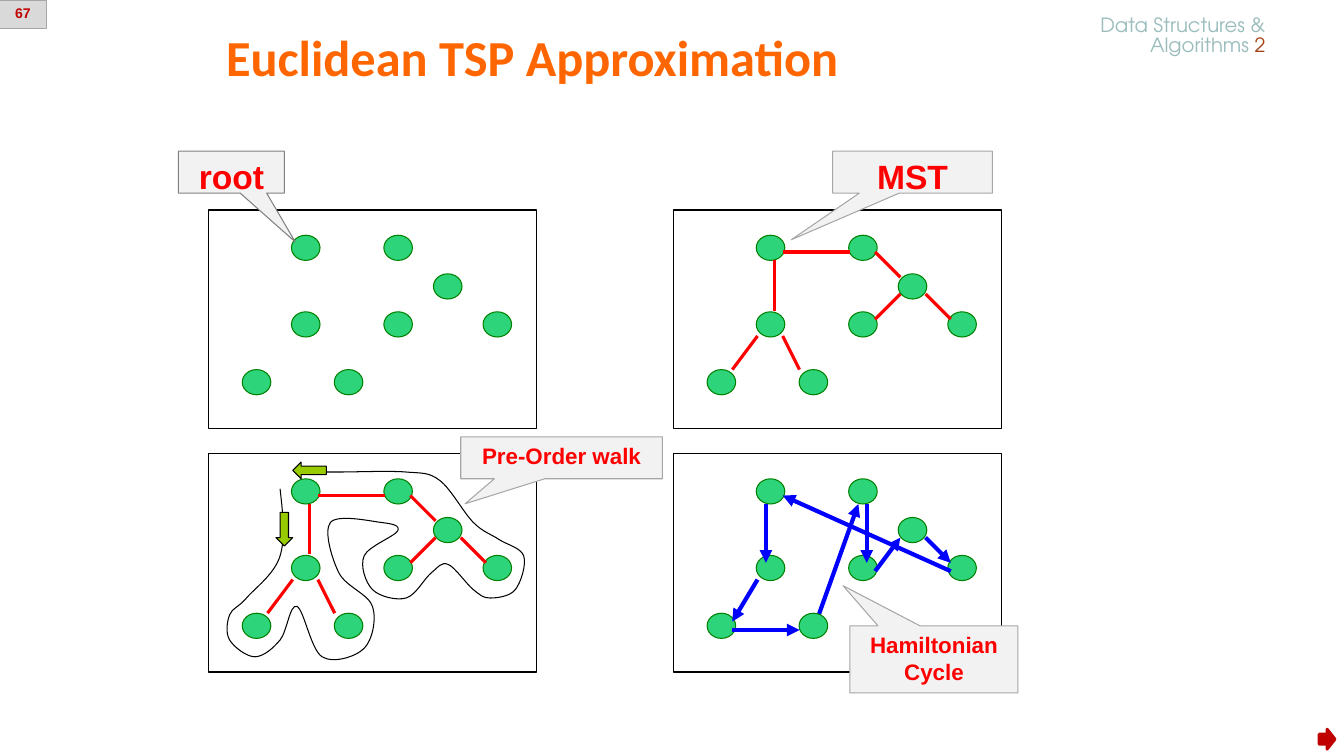
from dataclasses import dataclass
from itertools import product

from lxml import etree
from pptx import Presentation
from pptx.dml.color import RGBColor
from pptx.enum.shapes import MSO_CONNECTOR, MSO_SHAPE
from pptx.enum.text import MSO_ANCHOR, PP_ALIGN
from pptx.oxml.ns import qn
from pptx.util import Emu, Inches, Pt

STRAIGHT = MSO_CONNECTOR.STRAIGHT
NODE, FRAME = MSO_SHAPE.FLOWCHART_CONNECTOR, MSO_SHAPE.FLOWCHART_PROCESS
CALLOUT, RECTANGLE = MSO_SHAPE.RECTANGULAR_CALLOUT, MSO_SHAPE.RECTANGLE
LEFT_ARROW, DOWN_ARROW = MSO_SHAPE.LEFT_ARROW, MSO_SHAPE.DOWN_ARROW
RIGHT_ARROW = MSO_SHAPE.RIGHT_ARROW
LEFT, CENTER, RIGHT = PP_ALIGN.LEFT, PP_ALIGN.CENTER, PP_ALIGN.RIGHT
TOP, BOTTOM = MSO_ANCHOR.TOP, MSO_ANCHOR.BOTTOM

CELL = Inches(1) // 12  # the slide is a grid of 160 columns by 90 rows
PANEL_COLUMNS, PANEL_ROWS = (24.84, 80.16), (25, 54)
PANEL_SIZE = (39, 26)
NODE_SIZE = (3.4, 3)

BLACK, RED, BLUE, DARK_RED = "000000", "FF0000", "0000FF", "C00000"
ORANGE, GREEN, DARK_GREEN, LIME = "FF6600", "2ED479", "008000", "99CC00"
PALE_GRAY, LIGHT_GRAY, MID_GRAY, GRAY = "F2F2F2", "D9D9D9", "A6A6A6", "808080"
TEAL, BROWN = "9ABCBC", "A44114"

Point = tuple[float, float]
Run = tuple[str, str]  # text, colour


@dataclass(frozen=True)
class Box:
    column: float
    row: float
    width: float
    height: float

    def within(self, origin: Point) -> "Box":
        return Box(self.column + origin[0], self.row + origin[1], self.width, self.height)

    def lengths(self) -> list[Emu]:
        return [cells(n) for n in (self.column, self.row, self.width, self.height)]


@dataclass(frozen=True)
class Callout:
    text: str
    box: Box
    tip: Point
    size: int
    line: str = MID_GRAY


@dataclass(frozen=True)
class Edge:
    start: Point
    end: Point
    behind_nodes: bool = False


NODES = [(9.85, 3), (20.85, 3), (4, 19), (26.75, 7.6),
         (9.85, 12.12), (20.85, 12.12), (14.95, 19), (32.65, 12.12)]
TREE = [Edge((12, 12), (12, 6)), Edge((7, 19), (10, 15)), Edge((15, 19), (13, 15)),
        Edge((21, 5), (13, 5)), Edge((27, 8), (24, 5)), Edge((24, 13), (27, 10)),
        Edge((33, 13), (30, 10))]
CYCLE = [Edge((17, 20), (22, 6), True), Edge((11, 6), (11, 13)), Edge((10, 15), (7, 20)),
         Edge((7, 21), (15, 21)), Edge((23, 6), (23, 13)), Edge((24, 14), (27, 10)),
         Edge((30, 10), (33, 13)), Edge((33, 14), (13, 5))]
WALK_BOX = Box(2, 2, 36, 23)
WALK_OFFSET = (-1.5, -1.8)  # from the walk's anchors to its box
WALK = [(8, 4), (8, 12), (4, 17), (2, 19), (2, 22), (5, 24), (8, 22), (10, 18),
        (13, 24), (18, 23), (19, 18), (15, 14), (14, 8), (20, 8), (22, 9),
        (18, 12), (19, 16), (23, 17), (26, 14), (28, 13), (31, 16), (33, 17),
        (36, 16), (37, 12), (34, 10), (31, 8), (27, 3), (23, 2), (15, 2), (11, 2)]
CALLOUTS = [
    Callout("root", Box(-3.6, -7, 12.6, 5), (0.603, 1.661), 24, GRAY),
    Callout("MST", Box(18.95, -7, 19, 5), (-0.76, 1.611), 24),
    Callout("Pre-Order walk", Box(30, -2, 24, 5), (-0.478, 1.096), 16),
    Callout("Hamiltonian Cycle", Box(21, 20.5, 20, 8), (-0.541, -1.097), 16),
]
PANEL_EDGES = [([], RED), (TREE, RED), (TREE, RED), (CYCLE, BLUE)]
WALK_PANEL = 2


def cells(count: float) -> Emu:
    return Emu(round(count * CELL))


def color(value: str) -> RGBColor:
    return RGBColor.from_string(value)


def shift(point: Point, origin: Point) -> Point:
    return point[0] + origin[0], point[1] + origin[1]


def write(shape, *lines: list[Run], size: float, font: str = "Arial", bold: bool = False,
          align=CENTER, anchor=TOP, spacing=None):
    """Fill a shape with one paragraph for each list of coloured runs."""
    frame = shape.text_frame
    frame.word_wrap, frame.vertical_anchor = True, anchor
    frame.margin_top = frame.margin_bottom = Inches(0.05)
    for index, runs in enumerate(lines):
        paragraph = frame.add_paragraph() if index else frame.paragraphs[0]
        paragraph.alignment, paragraph.line_spacing = align, spacing
        paragraph.space_before = Pt(0)
        for text, text_color in runs:
            run = paragraph.add_run()
            run.text = text
            run.font.name, run.font.size, run.font.bold = font, Pt(size), bold
            run.font.color.rgb = color(text_color)


def style(shape, fill: str | None, line: str, weight: float = 0.75):
    shape.shadow.inherit = False
    if fill:
        shape.fill.solid()
        shape.fill.fore_color.rgb = color(fill)
    else:
        shape.fill.background()
    shape.line.color.rgb, shape.line.width = color(line), Pt(weight)


def add_block(shapes, kind, box: Box, fill: str | None, line: str, weight: float = 0.75):
    shape = shapes.add_shape(kind, *box.lengths())
    style(shape, fill, line, weight)
    return shape


def add_edge(shapes, edge: Edge, origin: Point, line: str, arrow: bool):
    ends = [cells(n) for point in (edge.start, edge.end) for n in shift(point, origin)]
    connector = shapes.add_connector(STRAIGHT, *ends)
    connector.line.color.rgb, connector.line.width = color(line), Pt(3 if arrow else 2.25)
    if arrow:
        etree.SubElement(connector.line._get_or_add_ln(), qn("a:tailEnd"), type="triangle")
    etree.SubElement(connector._element.spPr, qn("a:effectLst"))


def curve_segments(anchors: list[Point]) -> list[tuple[Point, Point, Point]]:
    """Give the Bezier points of a Catmull-Rom curve with extrapolated ends."""
    def beyond(a: Point, b: Point, c: Point) -> Point:
        return tuple(2.5 * p - 2 * q + 0.5 * r for p, q, r in zip(a, b, c))

    def control(near: Point, ahead: Point, behind: Point) -> Point:
        return tuple(p + (q - r) / 6 for p, q, r in zip(near, ahead, behind))

    points = [beyond(*anchors[:3]), *anchors, beyond(*anchors[:-4:-1])]
    return [(control(b, c, a), control(c, b, d), c)
            for a, b, c, d in zip(points, points[1:], points[2:], points[3:])]


def add_walk(shapes, origin: Point):
    anchors = [shift(point, WALK_OFFSET) for point in WALK]
    builder = shapes.build_freeform(*map(cells, anchors[0]))
    builder.add_line_segments([tuple(map(cells, point)) for point in anchors[1:]], close=False)
    walk = builder.convert_to_shape()
    walk.left, walk.top, walk.width, walk.height = WALK_BOX.within(origin).lengths()
    outline = next(walk._element.iter(qn("a:path")))
    outline.set("w", str(walk.width))
    outline.set("h", str(walk.height))
    for command in list(outline):
        outline.remove(command)
    commands = [("a:moveTo", anchors[:1])]
    commands += [("a:cubicBezTo", segment) for segment in curve_segments(anchors)]
    for name, points in commands:
        command = etree.SubElement(outline, qn(name))
        for x, y in points:
            etree.SubElement(command, qn("a:pt"), x=str(cells(x)), y=str(cells(y)))
    style(walk, None, BLACK)
    for kind, box in ((LEFT_ARROW, Box(10, 1, 4, 2)), (DOWN_ARROW, Box(8, 7, 2, 4))):
        add_block(shapes, kind, box.within(origin), LIME, BLACK)


def add_panel(slide, index: int, origin: Point):
    shapes = slide.shapes.add_group_shape().shapes
    edges, line = PANEL_EDGES[index]

    def add_edges(behind_nodes: bool):
        for edge in edges:
            if edge.behind_nodes == behind_nodes:
                add_edge(shapes, edge, origin, line, arrow=edges is CYCLE)

    add_edges(behind_nodes=True)
    for node in NODES:
        add_block(shapes, NODE, Box(*node, *NODE_SIZE).within(origin), GREEN, DARK_GREEN)
    add_block(shapes, FRAME, Box(*origin, *PANEL_SIZE), None, BLACK)
    add_edges(behind_nodes=False)
    if index == WALK_PANEL:
        add_walk(shapes, origin)
    callout = CALLOUTS[index]
    shape = add_block(shapes, CALLOUT, callout.box.within(origin), PALE_GRAY, callout.line)
    shape.adjustments[0], shape.adjustments[1] = callout.tip
    write(shape, [(callout.text, RED)], size=callout.size, bold=True)


def main():
    presentation = Presentation()
    presentation.slide_width, presentation.slide_height = Inches(13.33), Inches(7.5)
    slide = presentation.slides.add_slide(presentation.slide_layouts[5])
    title = slide.shapes.title
    title.left, title.top, title.width, title.height = Box(25.7, 3.84, 92.6, 7.1).lengths()
    write(title, [("Euclidean TSP Approximation", ORANGE)], size=36, font="Calibri",
          bold=True, align=LEFT, anchor=BOTTOM)
    for index, (row, column) in enumerate(product(PANEL_ROWS, PANEL_COLUMNS)):
        add_panel(slide, index, (column, row))
    course = slide.shapes.add_textbox(*Box(125.4, 1.44, 26.4, 5.9).lengths())
    write(course, [("Data Structures &", TEAL)], [("Algorithms ", TEAL), ("2", BROWN)],
          size=14, font="TeX Gyre Adventor", align=RIGHT, spacing=Pt(14))
    add_block(slide.shapes, RIGHT_ARROW, Box(157, 86.8, 1.9, 2.4), DARK_RED, DARK_RED, 2)
    number = add_block(slide.shapes, RECTANGLE, Box(-0.1, 0, 5.64, 3.36), LIGHT_GRAY, MID_GRAY)
    write(number, [("67", DARK_RED)], size=10, bold=True)
    presentation.save("out.pptx")


if __name__ == "__main__":
    main()
